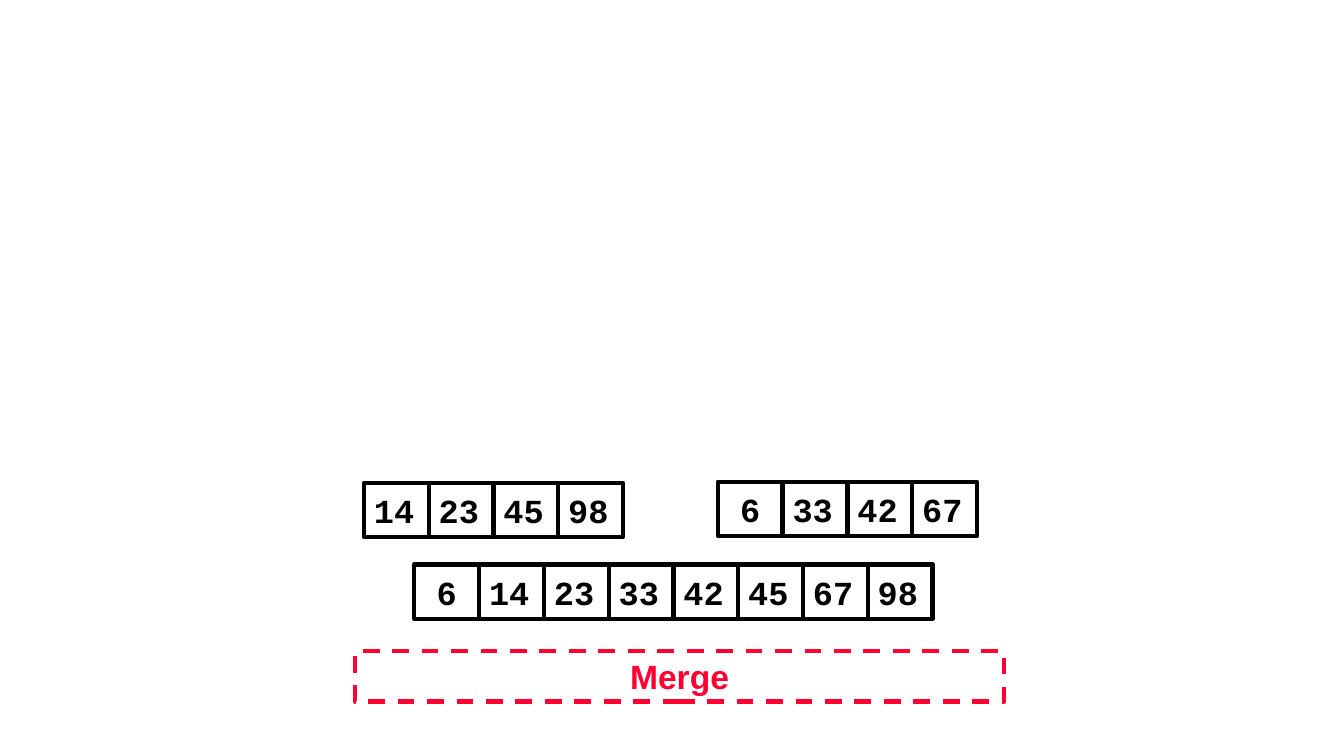
from pptx import Presentation
from pptx.dml.color import RGBColor
from pptx.enum.dml import MSO_LINE
from pptx.enum.shapes import MSO_SHAPE
from pptx.enum.text import MSO_ANCHOR, PP_ALIGN
from pptx.util import Inches, Pt

RECT = MSO_SHAPE.RECTANGLE
DASH = MSO_LINE.DASH
MIDDLE = MSO_ANCHOR.MIDDLE
LEFT, CENTER = PP_ALIGN.LEFT, PP_ALIGN.CENTER

BLACK = RGBColor(0x00, 0x00, 0x00)
RED = RGBColor(0xFF, 0x00, 0x33)

# Eight cells span the merged row
CELL_W = 5.14 / 8
CELL_H = 0.54

# Left edge, top edge and values of each array
ARRAYS = [
    (3.61, 4.79, [14, 23, 45, 98]),
    (7.12, 4.78, [6, 33, 42, 67]),
    (4.11, 5.6, [6, 14, 23, 33, 42, 45, 67, 98]),
]


def write_text(sp, text, font="Courier New", color=BLACK, align=LEFT, wrap=False):
    tf = sp.text_frame
    tf.word_wrap = wrap
    tf.vertical_anchor = MIDDLE
    p = tf.paragraphs[0]
    p.alignment = align
    r = p.add_run()
    r.text = text
    r.font.name = font
    r.font.size = Pt(24)
    r.font.bold = True
    r.font.color.rgb = color


def add_box(slide, x, y, w, h, color=BLACK, dash=None):
    sp = slide.shapes.add_shape(RECT, Inches(x), Inches(y), Inches(w), Inches(h))
    sp.shadow.inherit = False
    sp.fill.background()
    sp.line.color.rgb = color
    sp.line.width = Pt(3)
    if dash is not None:
        sp.line.dash_style = dash
    return sp


def add_array(slide, x, y, values):
    for i, value in enumerate(values):
        sp = add_box(slide, x + i * CELL_W, y, CELL_W, CELL_H)
        write_text(sp, str(value), align=CENTER if value < 10 else LEFT)


def main():
    prs = Presentation()
    prs.slide_width, prs.slide_height = Inches(13.33), Inches(7.5)
    slide = prs.slides.add_slide(prs.slide_layouts[6])

    # Step label
    label = add_box(slide, 3.52, 6.46, 6.44, 0.5, color=RED, dash=DASH)
    write_text(label, "Merge", font="Arial", color=RED, align=CENTER, wrap=True)

    # Two sorted halves and the merged result
    for x, y, values in ARRAYS:
        add_array(slide, x, y, values)

    prs.save("out.pptx")


if __name__ == "__main__":
    main()
